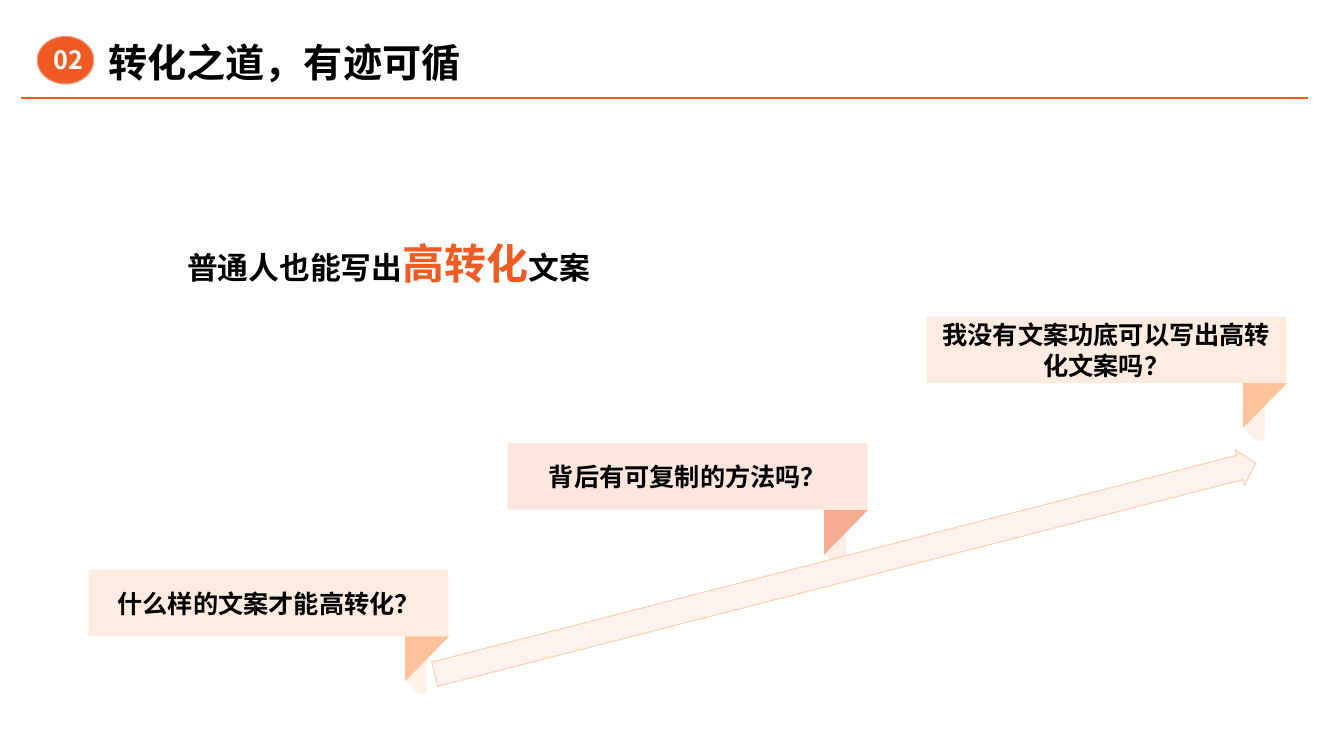
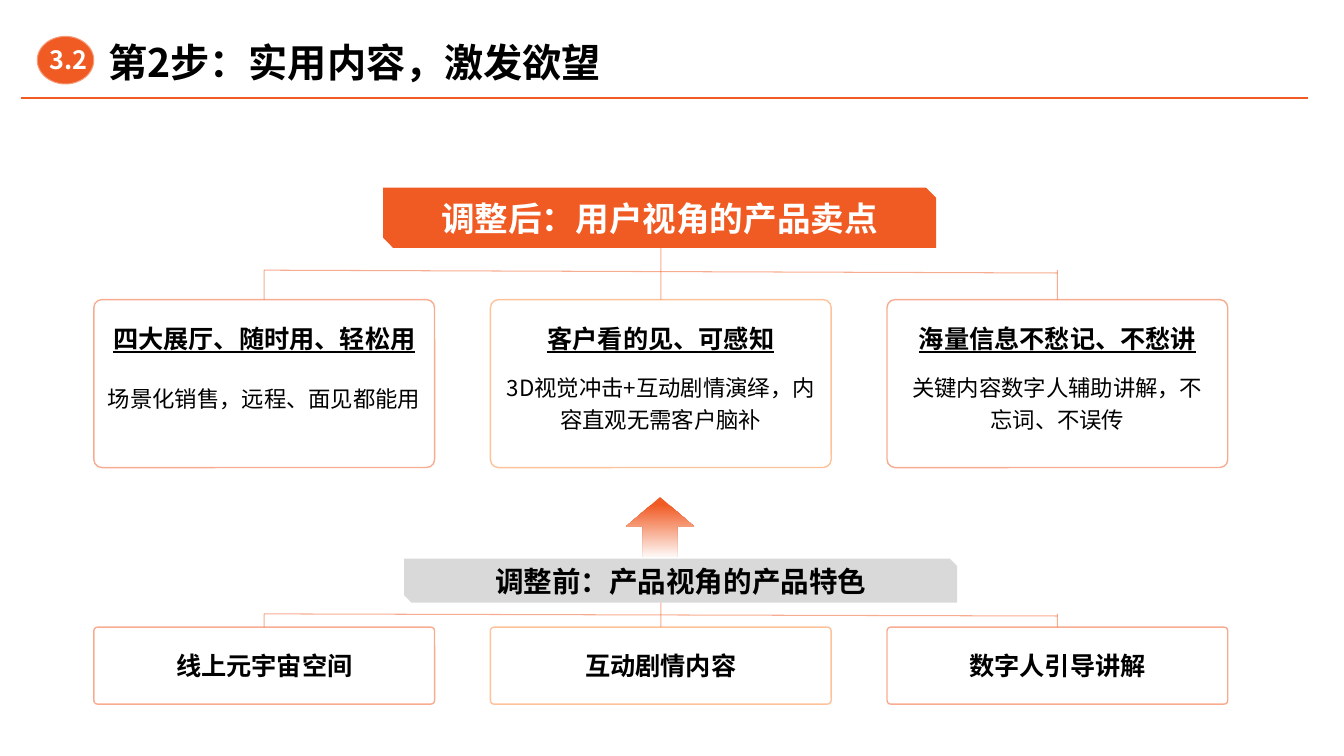
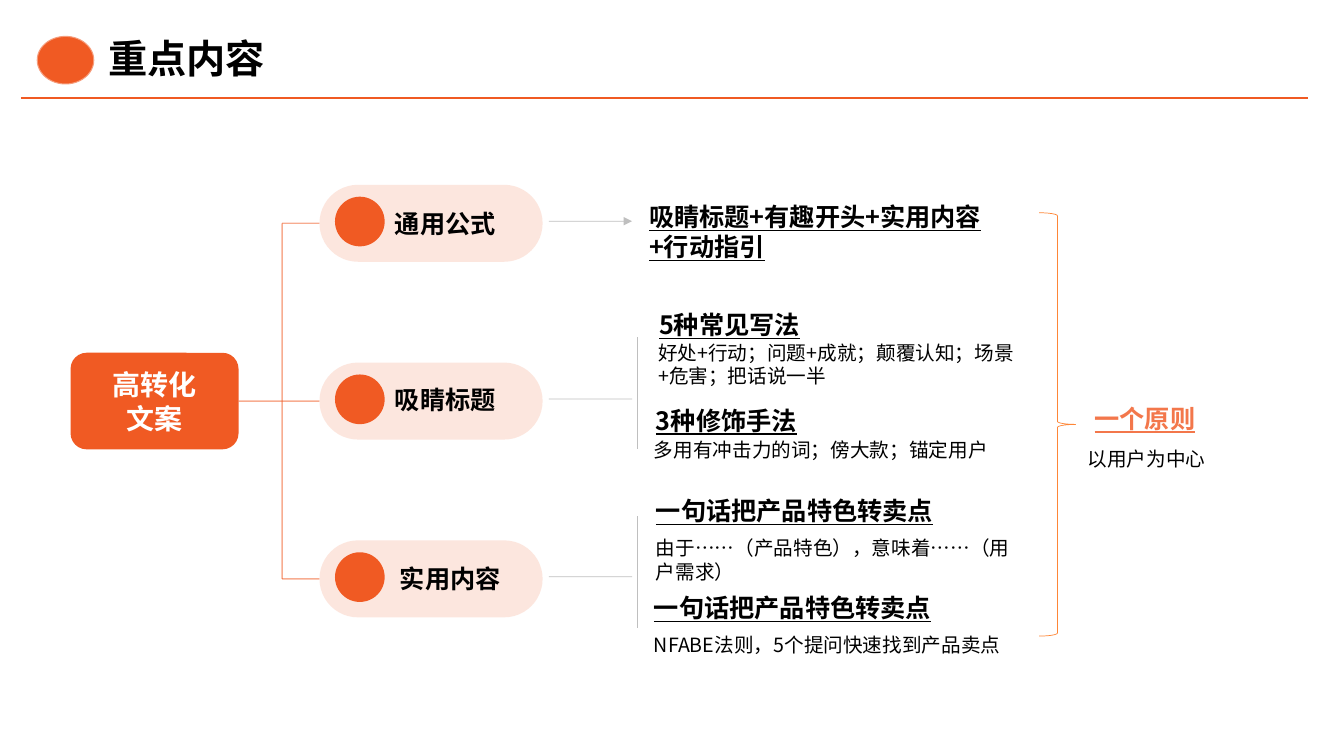
from lxml.etree import SubElement
from pptx import Presentation
from pptx.dml.color import RGBColor
from pptx.enum.shapes import MSO_CONNECTOR, MSO_SHAPE
from pptx.enum.text import MSO_ANCHOR, PP_ALIGN
from pptx.oxml.ns import qn
from pptx.util import Pt

FACE = "Noto Sans CJK SC"
ORANGE, AMBER, BLACK, WHITE = "F05A23", "FE8637", "000000", "FFFFFF"
HALF, PALE, FAINT = "80", "26", "1A"
LEFT, MID = PP_ALIGN.LEFT, PP_ALIGN.CENTER


def tint(fill, code):
    fill.solid()
    fill.fore_color.rgb = RGBColor.from_string(code[:6])
    if code[6:]:
        node = fill._xPr.find(qn("a:solidFill") + "/" + qn("a:srgbClr"))
        SubElement(node, qn("a:alpha")).set("val", str(round(int(code[6:], 16) / 255 * 100) * 1000))


def draw(page, kind, box, fill=None, edge=None, thick=1, adj=(), text="", size=18, tone=BLACK,
         bold=True, under=None, align=MID, anchor=MSO_ANCHOR.MIDDLE, lead=None, pad=None):
    x, y, w, h = [Pt(n) for n in box]
    if kind is None:
        shape = page.shapes.add_textbox(x, y, w, h)
    else:
        shape = page.shapes.add_shape(kind, x, y, w, h)
        shape.shadow.inherit = False
        if fill:
            tint(shape.fill, fill)
        else:
            shape.fill.background()
        if edge:
            tint(shape.line.fill, edge)
            shape.line.width = Pt(thick)
        else:
            shape.line.fill.background()
        for i, part in enumerate(adj):
            shape.adjustments[i] = part
    if text:
        frame = shape.text_frame
        frame.word_wrap = True
        frame.vertical_anchor = anchor
        if pad is not None:
            frame.margin_left = frame.margin_right = frame.margin_top = frame.margin_bottom = Pt(pad)
        frame.text = text
        for para in frame.paragraphs:
            para.alignment = align
            para.line_spacing = lead
            font = para.font
            font.size, font.bold, font.underline, font.name = Pt(size), bold, under, FACE
            tint(font.fill, tone)
            SubElement(font._element, qn("a:ea")).set("typeface", FACE)
    return shape


deck = Presentation()
deck.slide_width, deck.slide_height = Pt(960), Pt(540)
pages, rules = [], []

for mark, title, top in [("02", "转化之道，有迹可循", 26), ("3.2", "第2步：实用内容，激发欲望", 26),
                         ("", "重点内容", 23)]:
    page = deck.slides.add_slide(deck.slide_layouts[6])
    pages.append(page)
    rules.append((page, (15, 70, 934, 70), ORANGE, 1.5, None, None))
    draw(page, MSO_SHAPE.FLOWCHART_CONNECTOR, (26.6, 26, 40.4, 34), ORANGE, "F69C7B", 0.75)
    draw(page, None, (77.3, top, 406, 36), text=title, size=28, align=LEFT, pad=0)
    if mark:
        draw(page, None, (22.3, 28, 53.3, 29), text=mark, tone=WHITE)

page = pages[0]
fold = [(0, 0), (31.5, 0), (0, 32)]
curl = [(0, 32), (15.7, 15.8), (15.7, 38), (14.8, 40.5), (12.9, 41.7), (10.7, 41.5), (8.6, 40.3)]
asks = [("什么样的文案才能高转化？", AMBER), ("背后有可复制的方法吗？", ORANGE),
        ("我没有文案功底可以写出高转化文案吗？", AMBER)]
for i, (ask, tone) in enumerate(asks):
    x, y = 63.4 + 299.2 * i, 407 - 90.4 * i
    for dots, fade in [(fold, HALF), (curl, FAINT)]:
        spots = [(Pt(x + 226 + a), Pt(y + 47.5 + b)) for a, b in dots]
        pen = page.shapes.build_freeform(*spots[0])
        pen.add_line_segments(spots[1:], close=True)
        flap = pen.convert_to_shape()
        flap.shadow.inherit = False
        tint(flap.fill, tone + fade)
        flap.line.fill.background()
    draw(page, MSO_SHAPE.RECTANGLE, (x, y, 257, 47.5), tone + PALE, text=ask)

arrow = draw(page, MSO_SHAPE.RIGHT_ARROW, (301, 393, 605.5, 26.6), "FEF2EE", "FECEAF", 0.75,
             adj=(0.672, 0.449))
arrow.rotation = 345.6
claim = draw(page, None, (126.7, 170, 462, 52), text="普通人也能写出", size=22, align=LEFT,
             anchor=MSO_ANCHOR.TOP, lead=0.9).text_frame.paragraphs[0]
key = claim.add_run()
key.text = "高转化"
key.font.size = Pt(30)
tint(key.font.fill, ORANGE)
claim.add_run().text = "文案"

page = pages[1]
arrow = draw(page, MSO_SHAPE.UP_ARROW, (447, 355, 49, 42.5), ORANGE)
arrow.fill.gradient()
arrow.fill.gradient_angle = 270
for stop, code, place in zip(arrow.fill.gradient_stops, (ORANGE, "FEF7F4"), (0.12, 1)):
    stop.color.rgb = RGBColor.from_string(code)
    stop.position = place

tiers = [
    ((273.6, 134, 395, 43), ORANGE, "调整后：用户视角的产品卖点", 24, WHITE, 193, 2, 214, 120, ("", "", "")),
    ((288.7, 399, 395, 31.5), "D9D9D9", "调整前：产品视角的产品特色", 20.4, BLACK, 438.5, 1.5, 448, 55,
     ("线上元宇宙空间", "互动剧情内容", "数字人引导讲解")),
]
wide, step = 243.4, 283.3
mids = [67 + wide / 2 + step * i for i in range(3)]
for box, fill, text, size, tone, bar, tilt, top, high, names in tiers:
    draw(page, MSO_SHAPE.SNIP_2_DIAG_RECTANGLE, box, fill, text=text, size=size, tone=tone)
    rules.append((page, (mids[1], box[1] + box[3], mids[1], bar), ORANGE + HALF, 0.75, None, None))
    rules.append((page, (mids[2], bar + tilt, mids[0], bar), ORANGE + HALF, 0.75, None, None))
    for mid, name, tone in zip(mids, names, (ORANGE, AMBER, ORANGE)):
        card = draw(page, MSO_SHAPE.ROUNDED_RECTANGLE, (mid - wide / 2, top, wide, high),
                    edge=tone + HALF, adj=(0.048,), text=name)
        rules.append((page, (mid, bar, mid, top), ORANGE + HALF, 0.75, None, (card, 0)))

for mid, head, body, low, trim in [
        (mids[0], "四大展厅、随时用、轻松用", "场景化销售，远程、面见都能用", 268, 0),
        (mids[1], "客户看的见、可感知", "3D视觉冲击+互动剧情演绎，内容直观无需客户脑补", 260, 0),
        (mids[2], "海量信息不愁记、不愁讲", "关键内容数字人辅助讲解，不忘词、不误传", 260, 5.8)]:
    x, span = mid - wide / 2 + trim, wide - 2 * trim
    draw(page, None, (x, 214, span, 42), text=head, under=True, anchor=MSO_ANCHOR.BOTTOM)
    draw(page, None, (x, low, span, 66), text=body, size=16, bold=False, anchor=MSO_ANCHOR.TOP, lead=1.2)

page = pages[2]
root = draw(page, MSO_SHAPE.ROUNDED_RECTANGLE, (50.4, 252, 120, 69), ORANGE, text="高转化\n文案",
            size=20, tone=WHITE)
trunk = 201.5
tops = [132, 259, 386]
for i, (top, name, x, y) in enumerate(zip(tops, ("通用公式", "吸睛标题", "实用内容"),
                                          (275, 275, 278.6), (145.4, 270.7, 398.9))):
    pill = draw(page, MSO_SHAPE.ROUNDED_RECTANGLE, (228.2, top, 159.4, 55), ORANGE + PALE, adj=(0.5,))
    draw(page, MSO_SHAPE.OVAL, (239.3, top + 8.5, 35.5, 35.5), ORANGE)
    draw(page, None, (x, y, 96, 29), text=name, align=LEFT)
    mid = top + 27.5
    start = (root, 3) if i == 1 else None
    rules.append((page, (trunk, mid, 228.2, mid), ORANGE + HALF, 1, start, (pill, 1)))
    rules.append((page, (392, mid - 1.5, 451.5, mid - 1.5), "808080" + HALF, 0.5, None, None, i == 0))
rules.append((page, (trunk, tops[0] + 27.5, trunk, tops[2] + 27.5), ORANGE + HALF, 1, None, None))
for y in (241, 368.6):
    rules.append((page, (455, y, 455, y + 80), "BFBFBF", 0.5, None, None))

for x, y, w, text, head, tone in [
        (456.5, 140.4, 279.4, "吸睛标题+有趣开头+实用内容+行动指引", True, BLACK),
        (463.7, 217.4, 277, "5种常见写法", True, BLACK),
        (463, 239.8, 277, "好处+行动；问题+成就；颠覆认知；场景+危害；把话说一半", False, BLACK),
        (461.5, 285.8, 277, "3种修饰手法", True, BLACK),
        (460, 309.6, 277, "多用有冲击力的词；傍大款；锚定用户", False, BLACK),
        (461.5, 350.6, 277, "一句话把产品特色转卖点", True, BLACK),
        (461.5, 379.4, 277, "由于……（产品特色），意味着……（用户需求）", False, BLACK),
        (460, 419.8, 277, "一句话把产品特色转卖点", True, BLACK),
        (460, 448.6, 277, "NFABE法则，5个提问快速找到产品卖点", False, BLACK),
        (774.7, 284.4, 97.2, "一个原则", True, "F3774B"),
        (769.7, 315.4, 131, "以用户为中心", False, BLACK)]:
    draw(page, None, (x, y, w, 29 if head else 24.5), text=text, size=18 if head else 14, tone=tone,
         bold=head, under=head, align=LEFT, anchor=MSO_ANCHOR.TOP)
draw(page, MSO_SHAPE.RIGHT_BRACE, (742.3, 152, 26, 302.4), edge=AMBER, thick=0.5)

for page, ends, code, thick, start, stop, *head in rules:
    rule = page.shapes.add_connector(MSO_CONNECTOR.STRAIGHT, *[Pt(n) for n in ends])
    tint(rule.line.fill, code)
    rule.line.width = Pt(thick)
    if any(head):
        SubElement(rule.line._get_or_add_ln(), qn("a:tailEnd")).set("type", "triangle")
    SubElement(rule._element.spPr, qn("a:effectLst"))
    if start:
        rule.begin_connect(*start)
    if stop:
        rule.end_connect(*stop)

deck.save("out.pptx")
